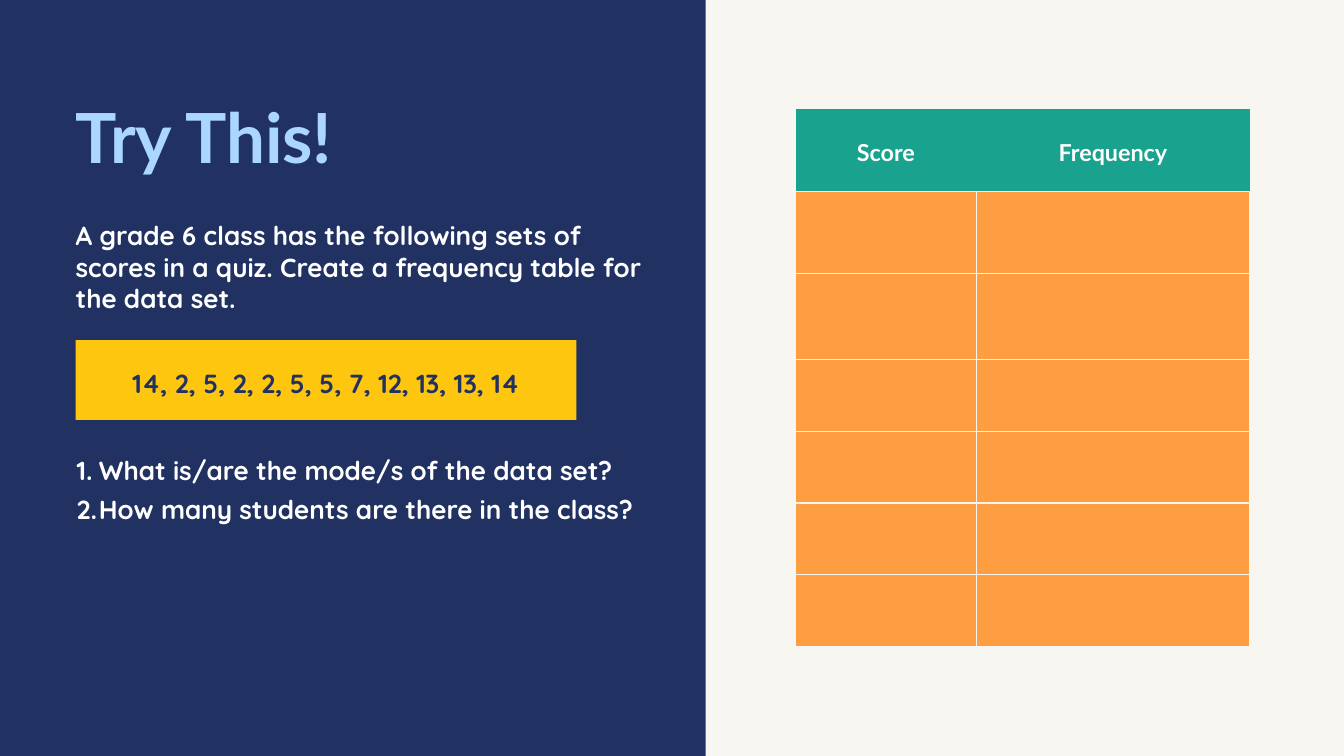
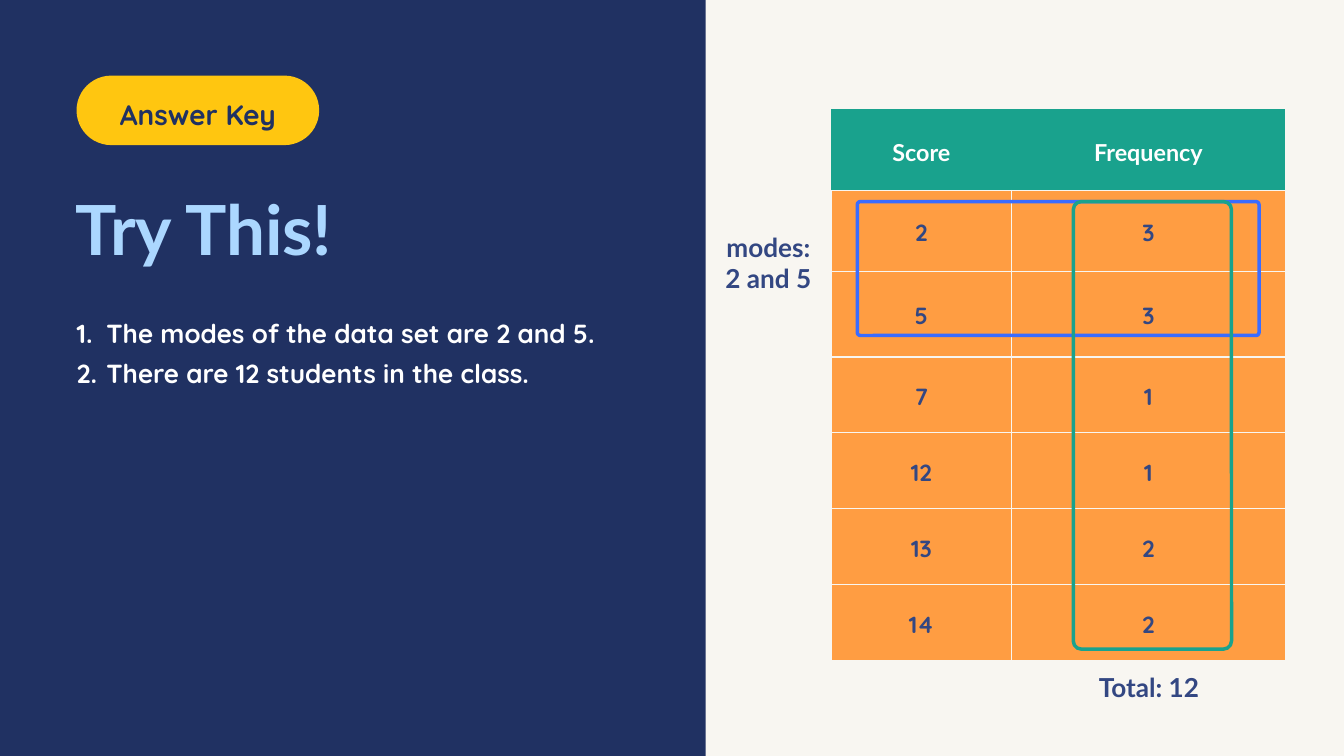
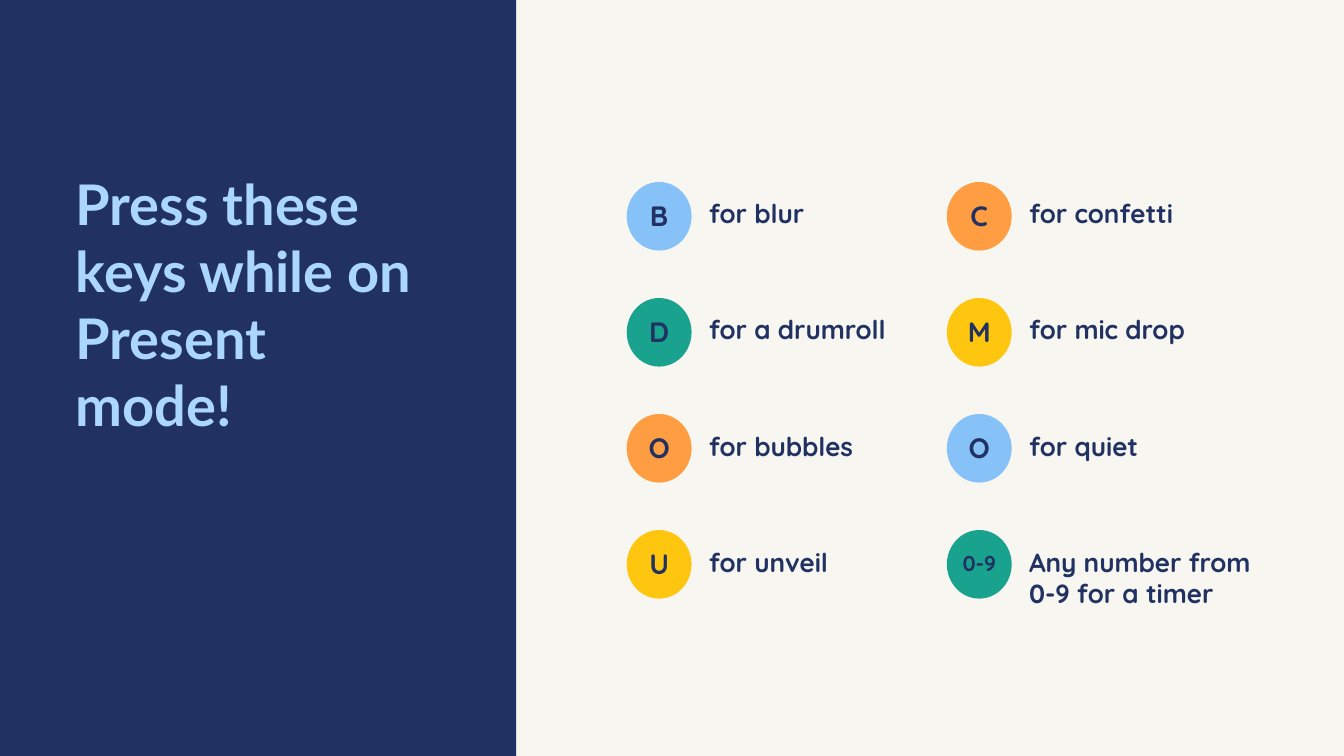
import pptx
import pptx.util
import pptx.dml.color
import pptx.enum.shapes
import pptx.enum.text
import pptx.oxml.ns
import lxml.etree

Pt = pptx.util.Pt
RGBColor = pptx.dml.color.RGBColor
MSO_SHAPE = pptx.enum.shapes.MSO_SHAPE
ANCHOR = pptx.enum.text.MSO_ANCHOR
ALIGN = pptx.enum.text.PP_ALIGN
qn = pptx.oxml.ns.qn

NAVY = RGBColor(0x20, 0x31, 0x62)
INDIGO = RGBColor(0x33, 0x47, 0x82)
CREAM = RGBColor(0xF8, 0xF6, 0xF1)
WHITE = RGBColor(0xFF, 0xFF, 0xFF)
PALE_BLUE = RGBColor(0xAB, 0xD7, 0xFF)
SKY = RGBColor(0x86, 0xC2, 0xF8)
BLUE = RGBColor(0x3A, 0x6C, 0xFF)
YELLOW = RGBColor(0xFF, 0xC6, 0x10)
ORANGE = RGBColor(0xFF, 0x9D, 0x42)
GREEN = RGBColor(0x19, 0xA2, 0x8D)

HEAD, BODY = "Lato", "Quicksand"
SLIDE_W, SLIDE_H = 1440, 810
MARGIN = 81
HALF = 756


def write(tf, lines, size, font, color, spacing, align=ALIGN.LEFT):
    tf.word_wrap = True
    for i, line in enumerate(lines):
        p = tf.add_paragraph() if i else tf.paragraphs[0]
        p.alignment = align
        p.line_spacing = Pt(spacing)
        r = p.add_run()
        r.text = line
        r.font.size = Pt(size)
        r.font.name = font
        r.font.bold = True
        r.font.color.rgb = color


def set_insets(holder, left, top, right, bottom):
    holder.margin_left, holder.margin_top = Pt(left), Pt(top)
    holder.margin_right, holder.margin_bottom = Pt(right), Pt(bottom)


def add_text(s, box, lines, size, font, color, spacing, align=ALIGN.LEFT):
    tf = s.shapes.add_textbox(*map(Pt, box)).text_frame
    set_insets(tf, 0, 0, 0, 0)
    write(tf, lines, size, font, color, spacing, align)
    return tf


def add_filled(s, kind, box, color):
    sp = s.shapes.add_shape(kind, *map(Pt, box))
    sp.shadow.inherit = False
    sp.fill.solid()
    sp.fill.fore_color.rgb = color
    sp.line.fill.background()
    return sp


def add_badge(s, kind, box, color, text, size, spacing, drop=0):
    """Filled shape with a centred label; drop is extra inset above the label."""
    sp = add_filled(s, kind, box, color)
    set_insets(sp.text_frame, 0, drop, 0, 0)
    sp.text_frame.vertical_anchor = ANCHOR.MIDDLE
    write(sp.text_frame, [text], size, BODY, NAVY, spacing, ALIGN.CENTER)
    return sp


def add_outline(s, box, radius, color):
    sp = s.shapes.add_shape(MSO_SHAPE.ROUNDED_RECTANGLE, *map(Pt, box))
    sp.adjustments[0] = radius / min(box[2:])
    sp.shadow.inherit = False
    sp.fill.background()
    sp.line.color.rgb = color
    sp.line.width = Pt(3.75)


def add_numbered(s, box, lines, hang):
    tf = add_text(s, box, lines, 28, BODY, WHITE, 42)
    for p in tf.paragraphs:
        pPr = p._p.get_or_add_pPr()
        pPr.set("marL", str(Pt(24 + hang)))
        pPr.set("indent", str(-Pt(hang)))
        lxml.etree.SubElement(pPr, qn("a:buFont"), typeface=BODY)
        lxml.etree.SubElement(pPr, qn("a:buAutoNum"), type="arabicPeriod")


def add_borders(cell, visible_sides):
    tcPr = cell._tc.get_or_add_tcPr()
    for i, side in enumerate("LRTB"):
        ln = lxml.etree.Element(qn("a:ln" + side), w=str(Pt(1.3)))
        if side in visible_sides:
            fill = lxml.etree.SubElement(ln, qn("a:solidFill"))
            lxml.etree.SubElement(fill, qn("a:srgbClr"), val=str(CREAM))
        else:
            lxml.etree.SubElement(ln, qn("a:noFill"))
        tcPr.insert(i, ln)


def add_frequency_table(s, left, top, heights, scores):
    widths = (193.5, 293)
    frame = s.shapes.add_table(len(heights), len(widths), Pt(left), Pt(top),
                               Pt(sum(widths)), Pt(sum(heights)))
    table = frame.table
    table.horz_banding = False
    for column, width in zip(table.columns, widths):
        column.width = Pt(width)
    for i, height in enumerate(heights):
        table.rows[i].height = Pt(height)
        header = i == 0
        values = ("Score", "Frequency") if header else scores[i - 1]
        for cell, value in zip(table.rows[i].cells, values):
            cell.fill.solid()
            cell.fill.fore_color.rgb = GREEN if header else ORANGE
            add_borders(cell, "B" if header else "LRTB")
            set_insets(cell, 13, 13, 13, 13)
            cell.vertical_anchor = ANCHOR.MIDDLE
            if value:
                font, color = (HEAD, WHITE) if header else (BODY, INDIGO)
                write(cell.text_frame, [value], 25, font, color, 35, ALIGN.CENTER)


def add_panel_slide(prs, panel_width):
    s = prs.slides.add_slide(prs.slide_layouts[6])
    s.background.fill.solid()
    s.background.fill.fore_color.rgb = CREAM
    add_filled(s, MSO_SHAPE.RECTANGLE, (0, 0, panel_width, SLIDE_H), NAVY)
    return s


def add_title(s, top, text, width, size):
    add_text(s, (MARGIN, top, width, size * 1.2), [text], size, HEAD,
             PALE_BLUE, size * 1.2)


def add_key(s, left, top, key, color, action):
    size, spacing = (30, 33) if len(key) == 1 else (23, 25.3)
    add_badge(s, MSO_SHAPE.OVAL, (left, top, 69.5, 73.5), color, key, size, spacing)
    add_text(s, (left + 88, top + 17, 250, 34), [action], 28, BODY, NAVY, 33.6)


def question_slide(prs):
    s = add_panel_slide(prs, HALF)
    add_title(s, 101, "Try This!", 639, 74)
    add_text(s, (MARGIN, 235.5, 616, 100),
             ["A grade 6 class has the following sets of scores in a quiz. "
              "Create a frequency table for the data set."],
             28, BODY, WHITE, 33.6)
    add_badge(s, MSO_SHAPE.RECTANGLE, (MARGIN, 364.5, 536.5, 85.5), YELLOW,
              "14, 2, 5, 2, 2, 5, 5, 7, 12, 13, 13, 14", 28, 28.3, 11)
    add_numbered(s, (58, 478, 639, 81),
                 ["What is/are the mode/s of the data set?",
                  "How many students are there in the class?"], 24)
    add_frequency_table(s, 852.5, 117, [88, 88, 92] + [77] * 4, [("", "")] * 6)


def answer_slide(prs):
    s = add_panel_slide(prs, HALF)
    pill = add_badge(s, MSO_SHAPE.ROUNDED_RECTANGLE, (82, 81, 260, 74.5), YELLOW,
                     "Answer Key", 30, 30.3, 14)
    pill.adjustments[0] = 0.5
    add_title(s, 199.5, "Try This!", 582, 74)
    add_numbered(s, (58, 332, 606, 81),
                 ["The modes of the data set are 2 and 5.",
                  "There are 12 students in the class."], 32)
    add_frequency_table(s, 890.5, 117, [87, 87, 91.5] + [81.4] * 4,
                        [("2", "3"), ("5", "3"), ("7", "1"),
                         ("12", "1"), ("13", "2"), ("14", "2")])
    add_outline(s, (918.5, 216, 430.5, 143.5), 3.3, BLUE)
    add_outline(s, (1150, 216, 169.5, 479.5), 8.6, GREEN)
    for box, lines in (((765, 248, 116.5, 73), ["modes:", "2 and 5"]),
                       ((1088, 719.5, 286, 40), ["Total: 12"])):
        add_text(s, box, lines, 28, HEAD, INDIGO, 33.6, ALIGN.CENTER)


def shortcuts_slide(prs):
    s = add_panel_slide(prs, 553)
    add_title(s, 181.5, "Press these keys while on Present mode!", 363, 60)
    keys = (("B", SKY, "for blur"), ("C", ORANGE, "for confetti"),
            ("D", GREEN, "for a drumroll"), ("M", YELLOW, "for mic drop"),
            ("O", ORANGE, "for bubbles"), ("O", SKY, "for quiet"),
            ("U", YELLOW, "for unveil"),
            ("0-9", GREEN, "Any number from 0-9 for a timer"))
    for i, (key, color, action) in enumerate(keys):
        row, col = divmod(i, 2)
        add_key(s, 671.5 + 343 * col, 195 + 124.3 * row, key, color, action)


def main():
    prs = pptx.Presentation()
    prs.slide_width, prs.slide_height = Pt(SLIDE_W), Pt(SLIDE_H)
    question_slide(prs)
    answer_slide(prs)
    shortcuts_slide(prs)
    prs.save("out.pptx")


if __name__ == "__main__":
    main()
